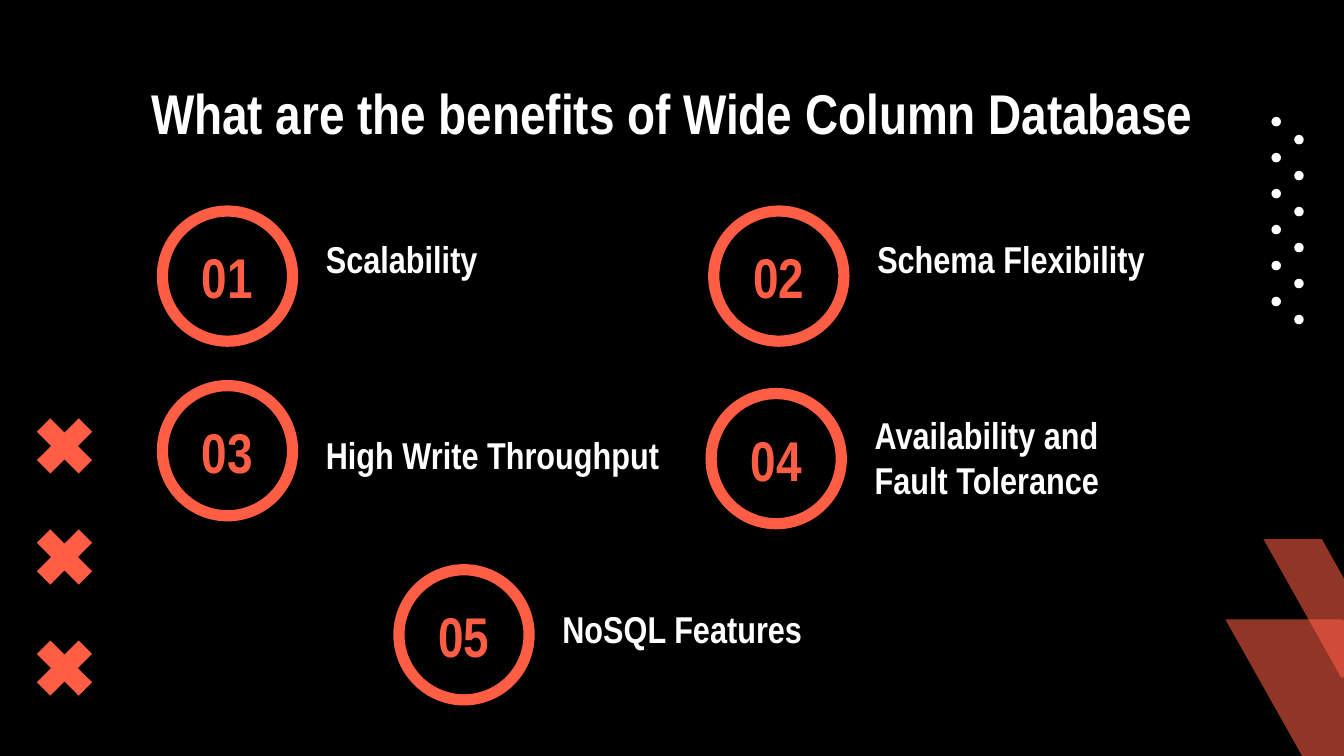
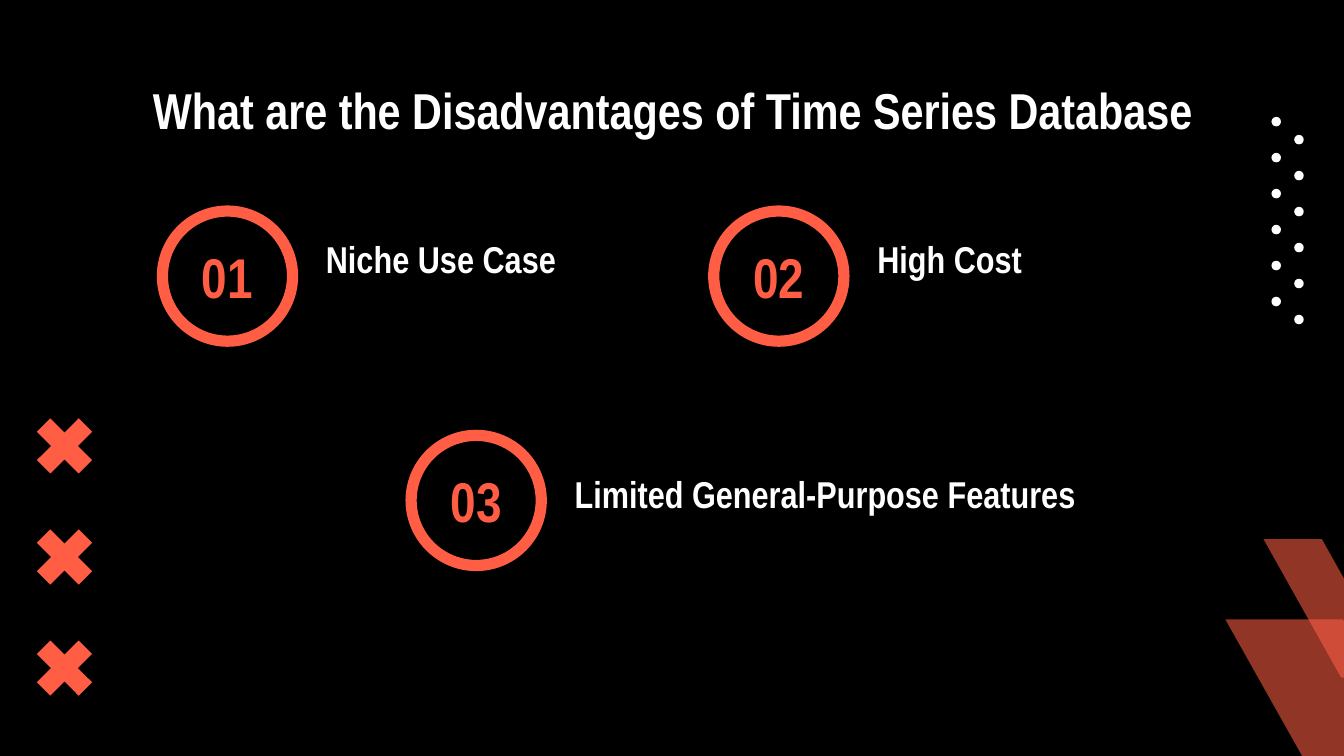
from dataclasses import dataclass

from lxml import etree
from pptx import Presentation
from pptx.dml.color import RGBColor
from pptx.enum.shapes import MSO_SHAPE as Preset
from pptx.enum.text import MSO_ANCHOR as Anchor, MSO_AUTO_SIZE as AutoSize, PP_ALIGN as Align
from pptx.oxml.ns import qn
from pptx.util import Cm, Pt

BLACK = "000000"
WHITE = "FFFFFF"
CORAL = "FF5E45"
FONT = "Arial Narrow"
TITLE_BOX = (2.01, 1.24, 21.41, 1.6)
RING_SIZE = 2.46
LABEL_SHIFT = 2.84
LABEL_HEIGHT = 2.16


@dataclass
class Point:
    left: float
    top: float
    label: str
    label_drop: float
    label_width: float


BENEFITS = [
    Point(3.07, 3.99, "Scalability", -0.58, 6.02),
    Point(13.49, 3.99, "Schema Flexibility", -0.58, 6.78),
    Point(3.07, 7.29, "High Write Throughput", -0.18, 8.76),
    Point(13.44, 7.44, "Availability and Fault Tolerance", 0.13, 5.51),
    Point(7.54, 10.77, "NoSQL Features", -0.38, 6.78),
]
DISADVANTAGES = [
    Point(3.07, 3.99, "Niche Use Case", -0.58, 6.02),
    Point(13.49, 3.99, "High Cost", -0.58, 8.1),
    Point(7.77, 8.23, "Limited General-Purpose Features", -0.38, 11.4),
]


def paint(color_format, hex_color):
    color_format.rgb = RGBColor.from_string(hex_color)


def to_cm(box):
    return [Cm(length) for length in box]


def add_filled(page, preset, box, color):
    shape = page.shapes.add_shape(preset, *to_cm(box))
    shape.shadow.inherit = False
    shape.fill.solid()
    paint(shape.fill.fore_color, color)
    shape.line.fill.background()
    return shape


def write(shape, text, size, color, align, anchor):
    frame = shape.text_frame
    frame.word_wrap = True
    frame.auto_size = AutoSize.NONE
    frame.vertical_anchor = anchor
    frame.margin_left = frame.margin_right = Cm(0.25)
    frame.margin_top = frame.margin_bottom = Cm(0.25)
    para = frame.paragraphs[0]
    para.alignment = align
    span = para.add_run()
    span.text = text
    span.font.name = FONT
    span.font.size = Pt(size)
    span.font.bold = True
    paint(span.font.color, color)


def add_slanted(page, box):
    shape = add_filled(page, Preset.PARALLELOGRAM, box, CORAL)
    shape.adjustments[0] = 0.571
    properties = shape.element.spPr
    properties.find(qn("a:xfrm")).set("flipH", "1")
    color = properties.find(qn("a:solidFill")).find(qn("a:srgbClr"))
    etree.SubElement(color, qn("a:alpha")).set("val", "57000")


def add_dots(page, left, top):
    step = 0.68
    for column in range(2):
        for row in range(6):
            box = (left + column * 0.43, top + (row + column / 2) * step, 0.18, 0.18)
            add_filled(page, Preset.OVAL, box, WHITE)


def add_crosses(page, left, top):
    for row in range(3):
        box = (left, top + row * 2.1, 1.52, 1.52)
        cross = add_filled(page, Preset.MATH_MULTIPLY, box, CORAL)
        cross.adjustments[0] = 0.235


def add_decoration(page):
    add_slanted(page, (23.16, 11.71, 5.18, 5.26))
    add_slanted(page, (23.88, 10.19, 2.57, 2.62))
    add_dots(page, 24.03, 2.21)
    add_crosses(page, 0.46, 7.67)


def add_point(page, number, point):
    ring_box = (point.left, point.top, RING_SIZE, RING_SIZE)
    ring = page.shapes.add_shape(Preset.OVAL, *to_cm(ring_box))
    ring.shadow.inherit = False
    ring.fill.background()
    ring.line.width = Pt(6)
    paint(ring.line.color, CORAL)
    write(ring, f"{number:02}", 30, CORAL, Align.CENTER, Anchor.MIDDLE)

    label_box = (point.left + LABEL_SHIFT, point.top + point.label_drop,
                 point.label_width, LABEL_HEIGHT)
    label = page.shapes.add_textbox(*to_cm(label_box))
    write(label, point.label, 20, WHITE, Align.LEFT, Anchor.BOTTOM)


def add_points_page(deck, heading, heading_size, points):
    page = deck.slides.add_slide(deck.slide_layouts[5])
    add_decoration(page)
    title = page.shapes.title
    title.left, title.top, title.width, title.height = to_cm(TITLE_BOX)
    write(title, heading, heading_size, WHITE, Align.CENTER, Anchor.TOP)
    for number, point in enumerate(points, start=1):
        add_point(page, number, point)


def main():
    deck = Presentation()
    deck.slide_width, deck.slide_height = Cm(25.4), Cm(14.29)
    backdrop = deck.slide_master.background.fill
    backdrop.solid()
    paint(backdrop.fore_color, BLACK)
    add_points_page(deck, "What are the benefits of Wide Column Database", 30, BENEFITS)
    add_points_page(deck, "What are the Disadvantages of Time Series Database", 27, DISADVANTAGES)
    deck.save("out.pptx")


if __name__ == "__main__":
    main()
